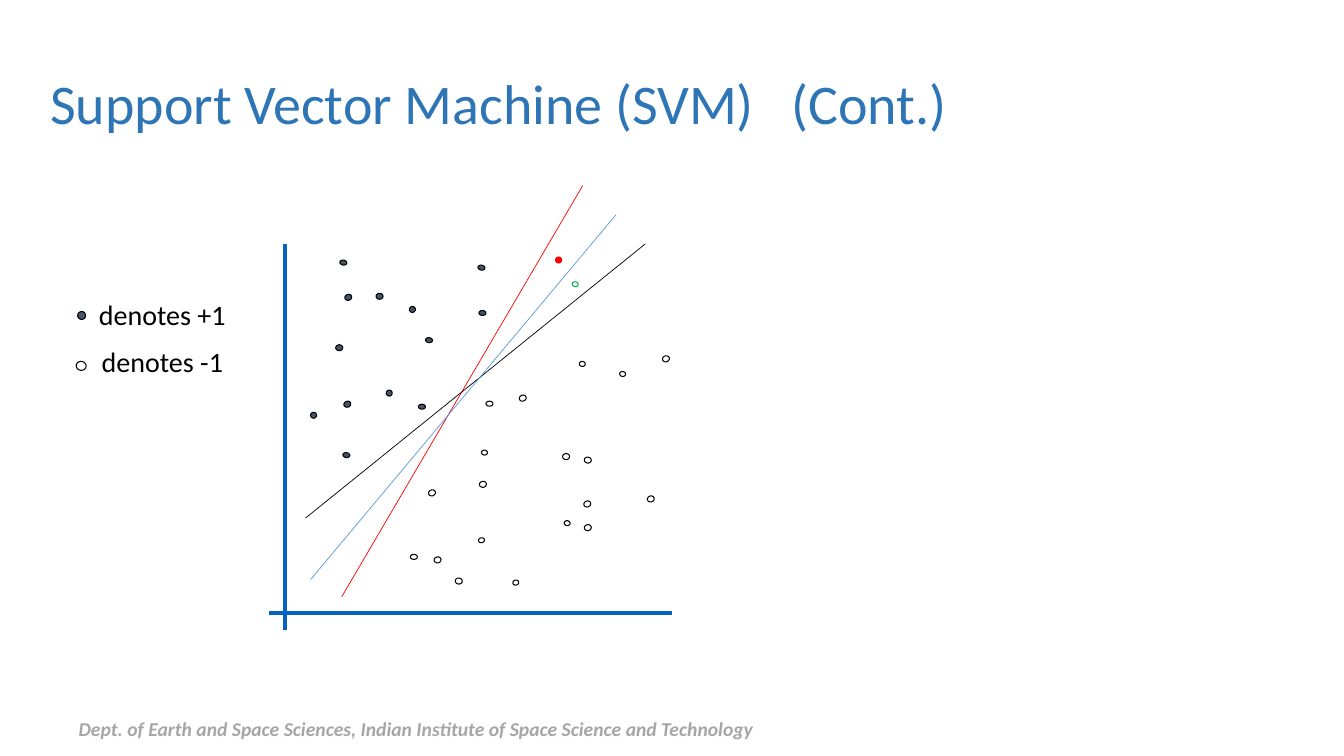
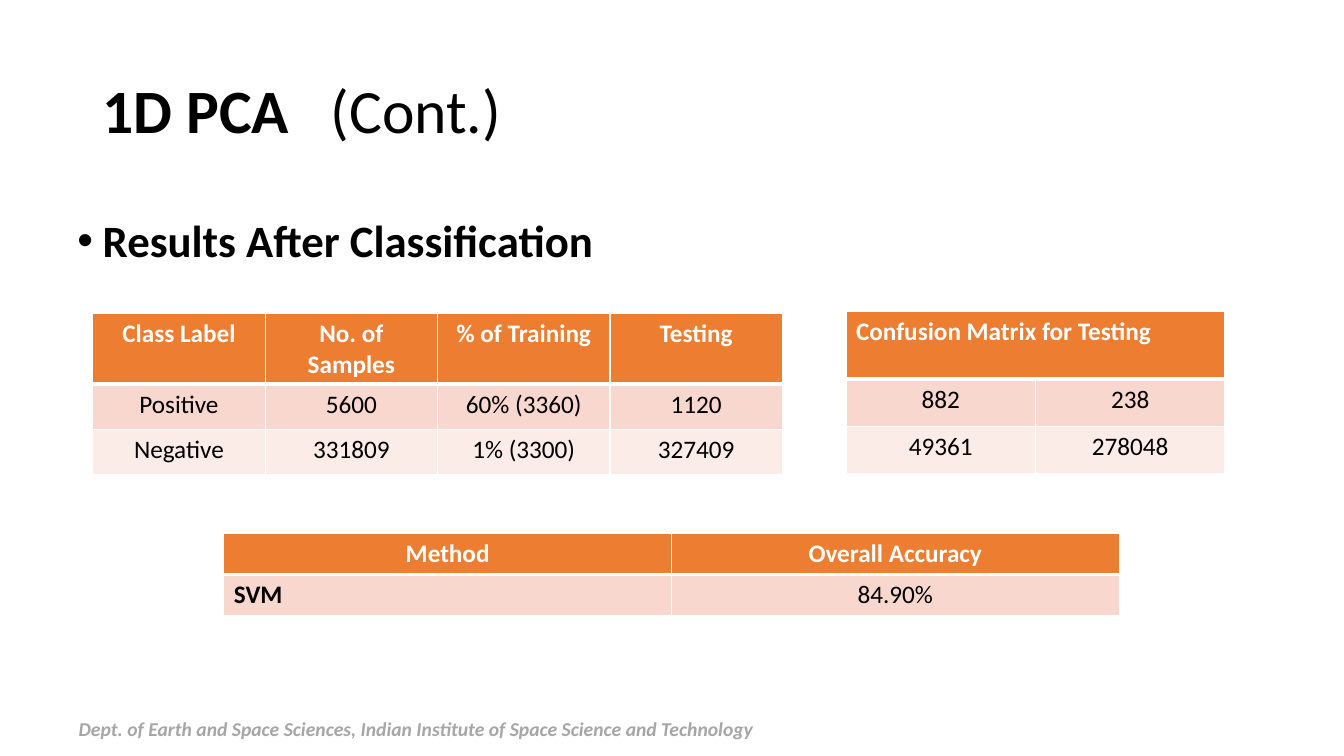
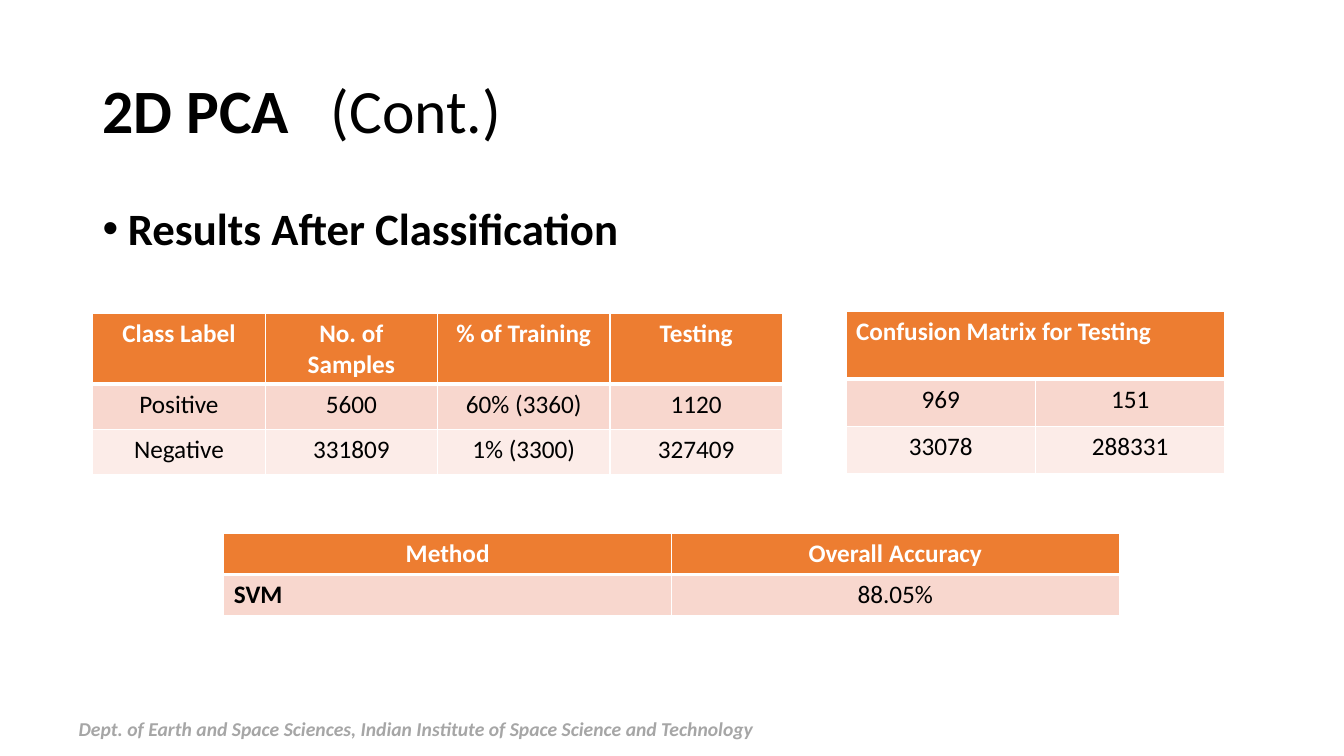
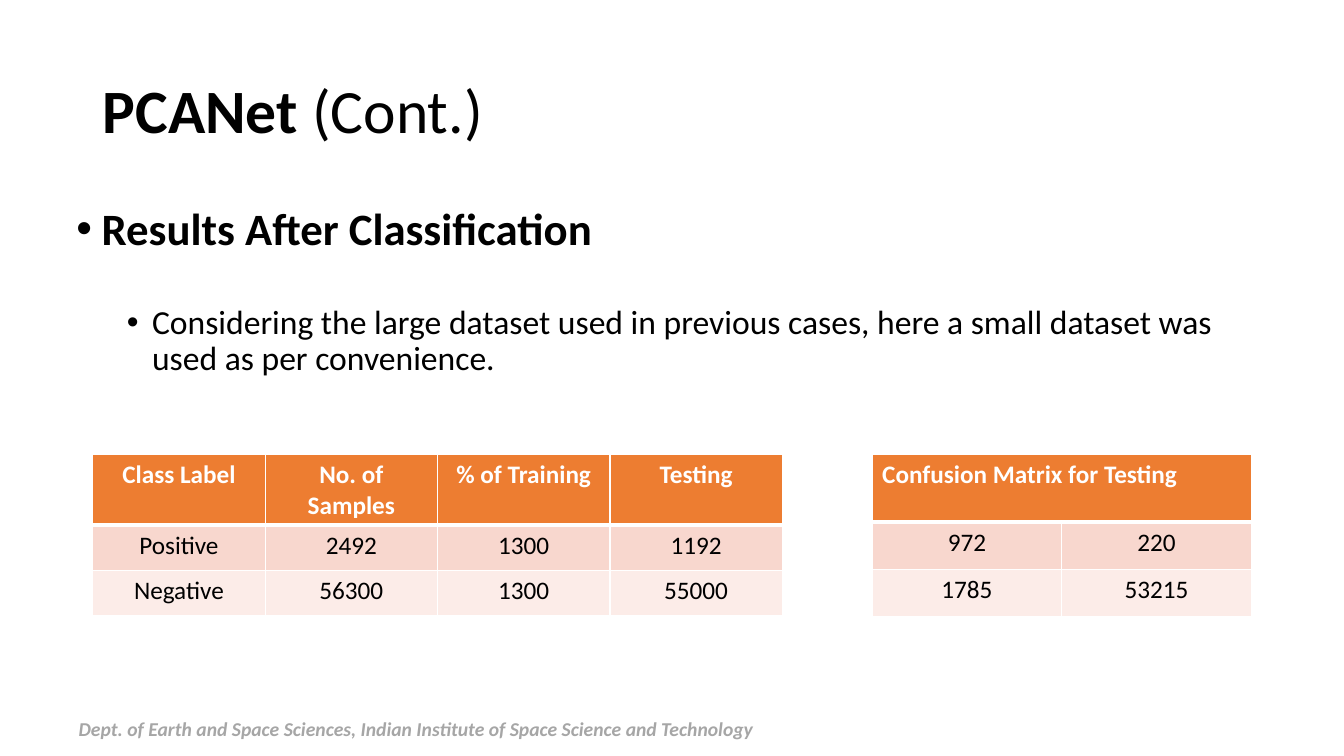
"""Builds four slides on SVM and PCA classification results."""
from dataclasses import dataclass

from lxml.etree import SubElement
from pptx import Presentation
from pptx.dml.color import RGBColor
from pptx.enum.shapes import MSO_CONNECTOR as Connector, MSO_SHAPE as Shape
from pptx.enum.text import MSO_ANCHOR as Anchor, PP_ALIGN as Align
from pptx.oxml.ns import qn
from pptx.util import Pt

PX = 9144


@dataclass(frozen=True)
class Theme:
    """Colours, font and type sizes shared by the slides."""

    font: str = "Calibri"
    ink: str = "000000"
    paper: str = "FFFFFF"
    title_blue: str = "2E75B6"
    axis: str = "0563C1"
    positive: str = "44546A"
    red: str = "FF0000"
    green: str = "00B050"
    sky: str = "5B9BD5"
    header: str = "ED7D31"
    bands: tuple = ("F8D7CE", "FCECE8")
    footer: str = "A6A6A6"
    svm_title_size: int = 40
    title_size: int = 44
    heading_size: int = 32
    note_size: int = 24
    legend_size: int = 20
    table_size: int = 18
    footer_size: int = 14


THEME = Theme()
DEPARTMENT = ("Dept. of Earth and Space Sciences, "
              "Indian Institute of Space Science and Technology")
HEADING = "Results After Classification"
CONFUSION = "Confusion Matrix for Testing"
ROW_LABELS = {"SVM", CONFUSION}
SAMPLE_HEADER = ("Class Label", "No. of Samples", "% of Training", "Testing")
FULL_SAMPLES = (("Positive", "5600", "60% (3360)", "1120"),
                ("Negative", "331809", "1% (3300)", "327409"))
SMALL_SAMPLES = (("Positive", "2492", "1300", "1192"),
                 ("Negative", "56300", "1300", "55000"))

# Points grouped by (width, height, tilt), each as (left, top).
POSITIVE_POINTS = {
    (7, 5, 0): [(475, 308), (415, 401)],
    (7, 6, 0): [(373, 291), (333, 342)],
    (7, 6, 341.4): [(342, 292), (341, 398)],
    (5, 7, 98.3): [(423, 334), (341, 448), (475, 262), (338, 257)],
    (6, 6, 79.6): [(383, 387), (308, 409), (406, 304)],
}
NEGATIVE_POINTS = {
    (7, 5, 0): [(407, 550), (482, 398)],
    (7, 6, 0): [(558, 450)],
    (7, 6, 341.4): [(425, 486), (657, 353), (579, 497), (515, 392), (642, 492)],
    (5, 6, 98.3): [(478, 446), (615, 368), (575, 358), (560, 516)],
    (6, 7, 98.3): [(452, 573), (580, 453)],
    (5, 6, 79.6): [(509, 575), (475, 533)],
    (6, 7, 79.6): [(476, 477), (431, 552), (580, 520)],
}


def px(*lengths):
    """Turn px lengths into whole EMU."""
    return [round(length * PX) for length in lengths]


def rgb(colour):
    """Return the colour object for a hex string."""
    return RGBColor.from_string(colour)


def style_run(run, size, colour=THEME.ink, **font):
    """Set the font of a run."""
    values = {"name": THEME.font, "size": Pt(size), **font}
    for name, value in values.items():
        setattr(run.font, name, value)
    run.font.color.rgb = rgb(colour)


def add_text_box(slide, box, anchor=Anchor.TOP, inset=None):
    """Add an empty wrapping text box and return its text frame."""
    frame = slide.shapes.add_textbox(*px(*box)).text_frame
    frame.word_wrap = True
    frame.vertical_anchor = anchor
    if inset is not None:
        for side in ("left", "top", "right", "bottom"):
            setattr(frame, f"margin_{side}", inset)
    return frame


def write_paragraph(paragraph, runs, **layout):
    """Write (text, size, font) runs and set the paragraph layout."""
    for name, value in layout.items():
        setattr(paragraph, name, value)
    for text, size, font in runs:
        run = paragraph.add_run()
        run.text = text
        style_run(run, size, **font)


def add_bullet(paragraph, indent):
    """Hang a round bullet 25 px left of the indented text."""
    properties = paragraph._p.get_or_add_pPr()
    margin, hanging = px(indent, -25)
    properties.set("marL", str(margin))
    properties.set("indent", str(hanging))
    SubElement(properties, qn("a:buFont"), typeface="Arial")
    SubElement(properties, qn("a:buChar"), char="•")


def add_title(slide, box, runs, tab=None):
    """Add a title, with an optional tab stop before its last part."""
    title = add_text_box(slide, box, Anchor.MIDDLE).paragraphs[0]
    write_paragraph(title, runs, line_spacing=0.9)
    if tab:
        stops = SubElement(title._p.get_or_add_pPr(), qn("a:tabLst"))
        SubElement(stops, qn("a:tab"), pos=str(px(tab)[0]), algn="l")


def add_topic_title(slide, topic, continued, tab=None):
    """Add the black title of a results slide."""
    add_title(slide, (92, 40, 1150, 145),
              [(topic, THEME.title_size, {"bold": True}),
               (continued, THEME.title_size, {"bold": False})], tab)


def add_heading(slide, box, note=None):
    """Add the results heading and an optional note below it."""
    frame = add_text_box(slide, box)
    heading = frame.paragraphs[0]
    write_paragraph(heading, [(HEADING, THEME.heading_size, {"bold": True})],
                    line_spacing=0.9, space_before=Pt(10))
    add_bullet(heading, 25)
    if note:
        remark = frame.add_paragraph()
        write_paragraph(remark, [(note, THEME.note_size, {})],
                        line_spacing=0.9, space_before=Pt(36))
        add_bullet(remark, 75)


def add_line(slide, start, end, colour, width):
    """Add a straight line without a shadow."""
    line = slide.shapes.add_connector(Connector.STRAIGHT, *px(*start, *end))
    line.line.color.rgb = rgb(colour)
    line.line.width = Pt(width)
    SubElement(line._element.spPr, qn("a:effectLst"))


def add_point(slide, box, tilt, fill, outline=THEME.ink):
    """Add one data point as a tilted ellipse."""
    point = slide.shapes.add_shape(Shape.OVAL, *px(*box))
    point.rotation = tilt
    point.shadow.inherit = False
    point.fill.solid()
    point.fill.fore_color.rgb = rgb(fill)
    point.line.color.rgb = rgb(outline)
    point.line.width = Pt(0.75)


def add_points(slide, groups, fill):
    """Add all the data points of one class."""
    for (width, height, tilt), places in groups.items():
        for left, top in places:
            add_point(slide, (left, top, width, height), tilt, fill)


def style_cell(cell, row):
    """Give a cell its white borders and the fill of its row."""
    properties = cell._tc.get_or_add_tcPr()
    widths = {"L": 1, "R": 1, "T": 3 if row == 1 else 1,
              "B": 3 if row == 0 else 1}
    for side, width in widths.items():
        border = SubElement(properties, qn(f"a:ln{side}"), w=str(Pt(width)))
        paint = SubElement(border, qn("a:solidFill"))
        SubElement(paint, qn("a:srgbClr"), val=THEME.paper)
    cell.fill.solid()
    cell.fill.fore_color.rgb = rgb((THEME.header, *THEME.bands)[row])


def add_table(slide, left, top, column_width, row_heights, rows):
    """Add a banded table; a lone header text spans all columns."""
    columns = len(rows[-1])
    size = (column_width * columns, sum(row_heights))
    table = slide.shapes.add_table(
        len(rows), columns, *px(left, top, *size)).table
    for column in table.columns:
        column.width = px(column_width)[0]
    for row, (height, texts) in enumerate(zip(row_heights, rows)):
        table.rows[row].height = px(height)[0]
        for column in range(columns):
            style_cell(table.cell(row, column), row)
        if len(texts) < columns:
            table.cell(row, 0).merge(table.cell(row, columns - 1))
        for column, text in enumerate(texts):
            label = text in ROW_LABELS
            font = {"bold": row == 0 or label,
                    "colour": THEME.ink if row else THEME.paper}
            write_paragraph(table.cell(row, column).text_frame.paragraphs[0],
                            [(text, THEME.table_size, font)],
                            alignment=Align.LEFT if label else Align.CENTER)


def add_sample_table(slide, top, samples):
    """Add the table of class sizes."""
    add_table(slide, 92, top, 171, (69, 45, 45), (SAMPLE_HEADER, *samples))


def add_confusion_table(slide, left, top, counts):
    """Add the confusion matrix."""
    add_table(slide, left, top, 188, (67, 47, 47), ((CONFUSION,), *counts))


def add_accuracy_table(slide, accuracy):
    """Add the table of overall accuracy."""
    add_table(slide, 222, 529, 444, (41, 41),
              (("Method", "Overall Accuracy"), ("SVM", accuracy)))


def add_slide(deck):
    """Add a blank slide with the department footer."""
    slide = deck.slides.add_slide(deck.slide_layouts[6])
    footer = add_text_box(slide, (78, 695, 800, 40), Anchor.BOTTOM, 0)
    write_paragraph(footer.paragraphs[0],
                    [(DEPARTMENT, THEME.footer_size,
                      {"colour": THEME.footer, "bold": True, "italic": True})])
    return slide


def add_legend(slide):
    """Add the key to the two classes."""
    legend = add_text_box(slide, (57, 290, 208, 93))
    for text in ("denotes +1", "denotes -1"):
        first = text.endswith("+1")
        entry = legend.paragraphs[0] if first else legend.add_paragraph()
        write_paragraph(entry, [(text, THEME.legend_size, {})],
                        alignment=Align.CENTER, space_before=Pt(10))
    add_point(slide, (77, 309, 8, 8), 79.6, THEME.positive)
    add_point(slide, (76, 358, 9, 10), 98.3, THEME.paper)


def add_svm_slide(deck):
    """Add the scatter plot with candidate separating lines."""
    slide = add_slide(deck)
    add_title(slide, (40, 43, 1200, 125),
              [("Support Vector Machine (SVM)\t(Cont.)", THEME.svm_title_size,
                {"colour": THEME.title_blue})], 735)
    add_legend(slide)
    for start, end in (((283, 242), (283, 625)), ((267, 608), (667, 608))):
        add_line(slide, start, end, THEME.axis, 3)
    add_points(slide, POSITIVE_POINTS, THEME.positive)
    add_points(slide, NEGATIVE_POINTS, THEME.paper)
    for start, end, colour in (((339, 592), (578, 184), THEME.red),
                               ((303, 514), (640, 242), THEME.ink),
                               ((308, 575), (611, 213), THEME.sky)):
        add_line(slide, start, end, colour, 0.5)
    add_point(slide, (568, 279, 5, 6), 98.3, THEME.paper, THEME.green)
    add_point(slide, (551, 255, 6, 6), 79.6, THEME.red, THEME.red)


def add_pca_slide(deck, topic, heading_box, counts, accuracy):
    """Add the results of one PCA variant on the full dataset."""
    slide = add_slide(deck)
    add_topic_title(slide, topic, "\t(Cont.)", 226)
    add_heading(slide, heading_box)
    add_accuracy_table(slide, accuracy)
    add_sample_table(slide, 311, FULL_SAMPLES)
    add_confusion_table(slide, 839, 309, counts)


def add_pcanet_slide(deck):
    """Add the PCANet results on the small dataset."""
    slide = add_slide(deck)
    add_topic_title(slide, "PCANet ", "(Cont.)")
    add_heading(slide, (66, 200, 1200, 480),
                "Considering the large dataset used in previous cases, here a "
                "small dataset was used as per convenience.")
    add_sample_table(slide, 451, SMALL_SAMPLES)
    add_confusion_table(slide, 865, 451, (("972", "220"), ("1785", "53215")))


def main():
    """Build and save the deck."""
    deck = Presentation()
    deck.slide_width, deck.slide_height = px(1333, 750)
    add_svm_slide(deck)
    add_pca_slide(deck, "1D PCA", (67, 212, 1149, 152),
                  (("882", "238"), ("49361", "278048")), "84.90%")
    add_pca_slide(deck, "2D PCA", (92, 200, 1150, 476),
                  (("969", "151"), ("33078", "288331")), "88.05%")
    add_pcanet_slide(deck)
    deck.save("out.pptx")


if __name__ == "__main__":
    main()
